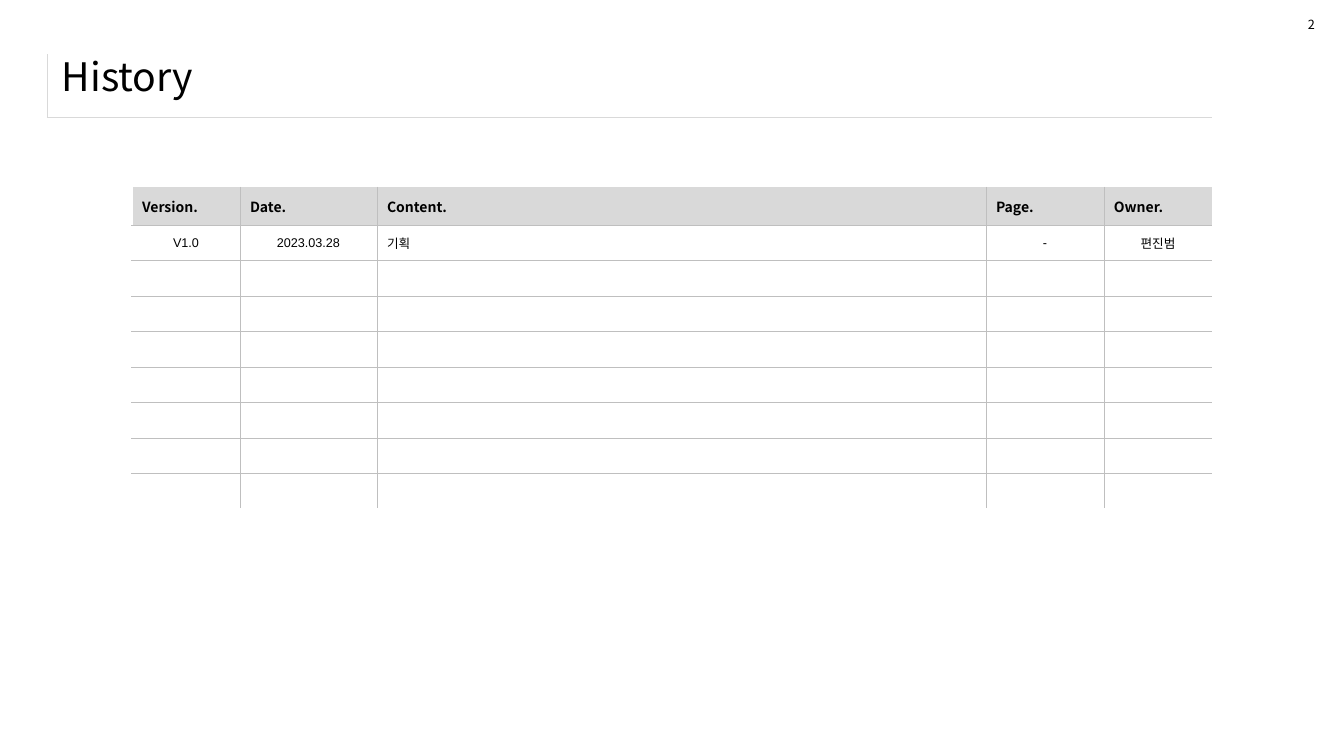
"""Build the History slide with its version table."""
import pptx
import pptx.util
import pptx.dml.color
import pptx.enum.text
import pptx.oxml.ns
import lxml.etree

PX = 914400 / 100.8
SANS, ARIAL = "Noto Sans CJK KR", "Arial"
GREY, PALE, WHITE = "BFBFBF", "D9D9D9", "FFFFFF"
MID = pptx.enum.text.MSO_ANCHOR.MIDDLE
LEFT, CENTER = pptx.enum.text.PP_ALIGN.LEFT, pptx.enum.text.PP_ALIGN.CENTER
color = pptx.dml.color.RGBColor.from_string
qn = pptx.oxml.ns.qn


def write(frame, text, size, face=SANS, bold=False, align=LEFT):
    para = frame.paragraphs[0]
    para.alignment = align
    if not text:
        lxml.etree.SubElement(para._p, qn("a:endParaRPr"), sz=str(size * 100))
        return
    run = para.add_run()
    run.text = text
    look = {"size": pptx.util.Pt(size), "name": face, "bold": bold}
    for key, value in look.items():
        setattr(run.font, key, value)
    run.font.color.rgb = color("000000")
    lxml.etree.SubElement(run._r.get_or_add_rPr(), qn("a:ea"), typeface=face)


def grid(left, top, cols, rows):
    box = [round(n * PX) for n in (left, top, sum(cols), sum(rows))]
    table = slide.shapes.add_table(len(rows), len(cols), *box).table
    table.first_row = table.horz_banding = False
    for col, wide in zip(table.columns, cols):
        col.width = round(wide * PX)
    for row, high in zip(table.rows, rows):
        row.height = round(high * PX)
    for r in range(len(rows)):
        for c in range(len(cols)):
            cell = table.cell(r, c)
            cell.vertical_anchor = MID
            if len(rows) == 1:
                edges = {"L": (PALE, 0.25), "R": None, "T": None, "B": (PALE, 0.25)}
            else:
                thin, blank = (GREY, 0.25), (WHITE, 1)
                edges = {
                    "L": thin if c else blank,
                    "R": thin if c < len(cols) - 1 else None,
                    "T": thin if r else None,
                    "B": thin if r < len(rows) - 1 else blank,
                }
            props = cell._tc.get_or_add_tcPr()
            for side, edge in edges.items():
                line = lxml.etree.SubElement(props, qn("a:ln" + side))
                if edge:
                    line.set("w", str(round(edge[1] * 12700)))
                    fill = lxml.etree.SubElement(line, qn("a:solidFill"))
                    lxml.etree.SubElement(fill, qn("a:srgbClr"), val=edge[0])
                else:
                    lxml.etree.SubElement(line, qn("a:noFill"))
            cell.fill.background()
    return table


deck = pptx.Presentation()
deck.slide_width, deck.slide_height = round(1344 * PX), round(756 * PX)
slide = deck.slides.add_slide(deck.slide_layouts[6])

rule = grid(47, 54, [1165], [63])
write(rule.cell(0, 0).text_frame, "", 18)

for text, size, box, wrap, anchor in [
    ("History", 28, (52, 44, 1259, 64), True, MID),
    ("2", 9, (1298, 12, 27, 25), False, pptx.enum.text.MSO_ANCHOR.TOP),
]:
    frame = slide.shapes.add_textbox(*[round(n * PX) for n in box]).text_frame
    frame.word_wrap, frame.vertical_anchor = wrap, anchor
    write(frame, text, size)

heads = ["Version.", "Date.", "Content.", "Page.", "Owner."]
entry = [
    ("V1.0", ARIAL, CENTER),
    ("2023.03.28", ARIAL, CENTER),
    ("기획", SANS, LEFT),
    ("-", ARIAL, CENTER),
    ("편진범", SANS, CENTER),
]
count, head, total = 8, 38, 322
rows = [head] + [(total - head) / count] * count
log = grid(132, 187, [108, 137, 609, 118, 108], rows)
for c, name in enumerate(heads):
    cell = log.cell(0, c)
    cell.fill.solid()
    cell.fill.fore_color.rgb = color(PALE)
    write(cell.text_frame, name, 10, bold=True)
    text, face, align = entry[c]
    write(log.cell(1, c).text_frame, text, 9, face, align=align)
    for r in range(2, count + 1):
        write(log.cell(r, c).text_frame, "", 9)

deck.save("out.pptx")
